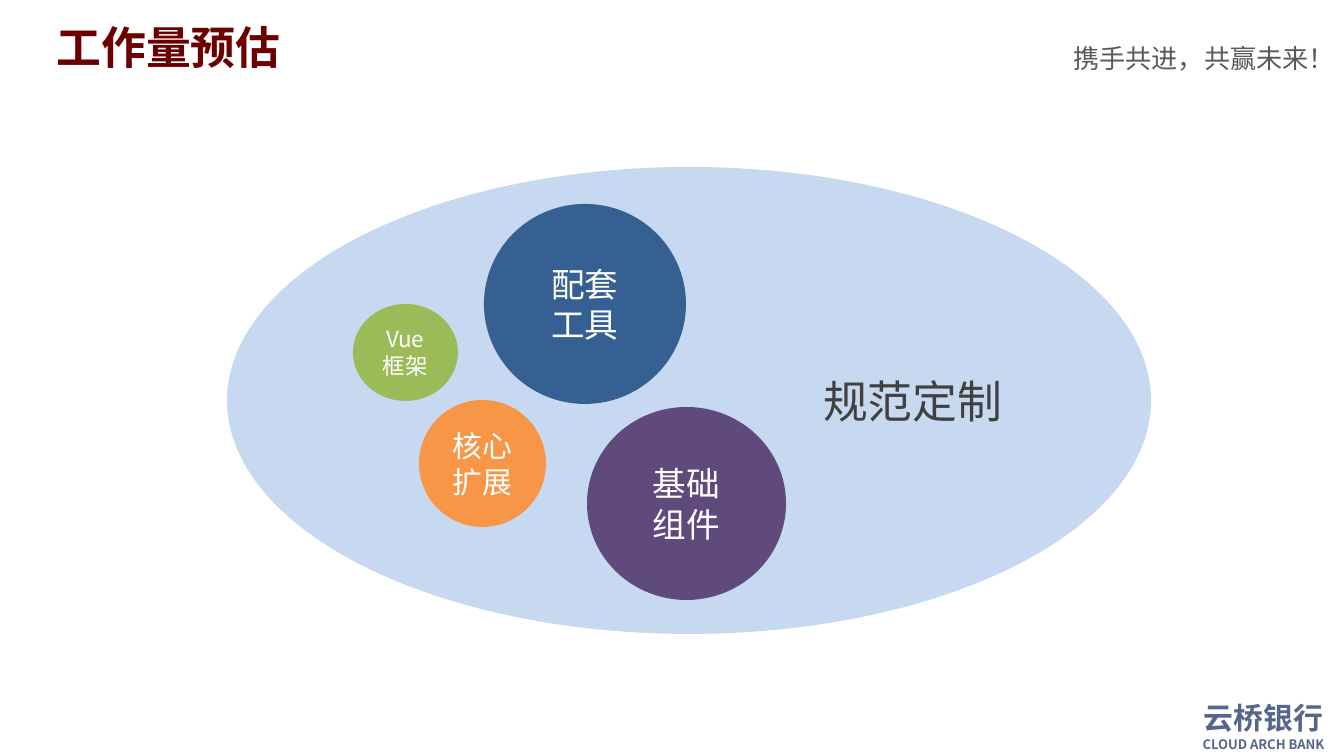
from lxml import etree
from pptx import Presentation
from pptx import util as u
from pptx.dml.color import RGBColor
from pptx.enum import shapes, text
from pptx.oxml.ns import qn

FONT = "Noto Sans CJK SC"
PX = 914400 / 134.4
SIZE = (1344, 756)
LEFT, MID, RIGHT = text.PP_ALIGN.LEFT, text.PP_ALIGN.CENTER, text.PP_ALIGN.RIGHT

# Content: boxes are left, top, width, height in px
TITLE = ("工作量预估", (43, 13, 911, 62), 24, "6C0001")
OVALS = [
    ("规范定制", (227, 167, 924, 467), 24, "404040", "C6D9F1", RIGHT),
    ("核心\n扩展", (419, 400, 127, 127), 16, "FFFFFF", "F79646", MID),
    ("配套\n工具", (484, 204, 202, 200), 18, "FFFFFF", "376092", MID),
    ("基础\n组件", (587, 407, 199, 193), 18, "FFFFFF", "604A7B", MID),
    ("Vue\n框架", (353, 304, 105, 97), 12, "FFFFFF", "9BBB59", MID),
]
NOTES = [
    ("携手共进，共赢未来！", (1060, 37, 273, 42), 14, "595959", LEFT, False),
    ("云桥银行", (1189, 695, 149, 46), 16, "55658C", MID, True),
    ("CLOUD ARCH BANK", (1189, 734, 149, 20), 7, "55658C", MID, True),
]


def px(n):
    return u.Emu(round(n * PX))


def rgb(code):
    return RGBColor.from_string(code)


def place(shape, box):
    shape.left, shape.top, shape.width, shape.height = map(px, box)


def write(shape, words, size, color, align, bold=False):
    frame = shape.text_frame
    frame.text = words
    frame.vertical_anchor = text.MSO_ANCHOR.MIDDLE
    for para in frame.paragraphs:
        para.alignment = align
        font = para.font
        font.name, font.size, font.bold = FONT, u.Pt(size), bold
        font.color.rgb = rgb(color)
        # East Asian typeface
        east = etree.SubElement(para._p.pPr.find(qn("a:defRPr")), qn("a:ea"))
        east.set("typeface", FONT)
    return frame


deck = Presentation()
deck.slide_width, deck.slide_height = map(px, SIZE)
slide = deck.slides.add_slide(deck.slide_layouts[5])

# Title
words, box, size, color = TITLE
title = slide.shapes.title
place(title, box)
frame = write(title, words, size, color, LEFT, True)
frame.vertical_anchor = text.MSO_ANCHOR.TOP
frame.auto_size = text.MSO_AUTO_SIZE.NONE

# Large oval with the circles inside it
for words, box, size, color, fill, align in OVALS:
    oval = slide.shapes.add_shape(shapes.MSO_SHAPE.OVAL, *map(px, box))
    oval.shadow.inherit = False
    oval.fill.solid()
    oval.fill.fore_color.rgb = rgb(fill)
    oval.line.fill.background()
    write(oval, words, size, color, align)

# Slogan and bank name
for words, box, size, color, align, bold in NOTES:
    note = slide.shapes.add_textbox(*map(px, box))
    frame = write(note, words, size, color, align, bold)
    frame.word_wrap = False
    frame.margin_top = frame.margin_bottom = 0

deck.save("out.pptx")
